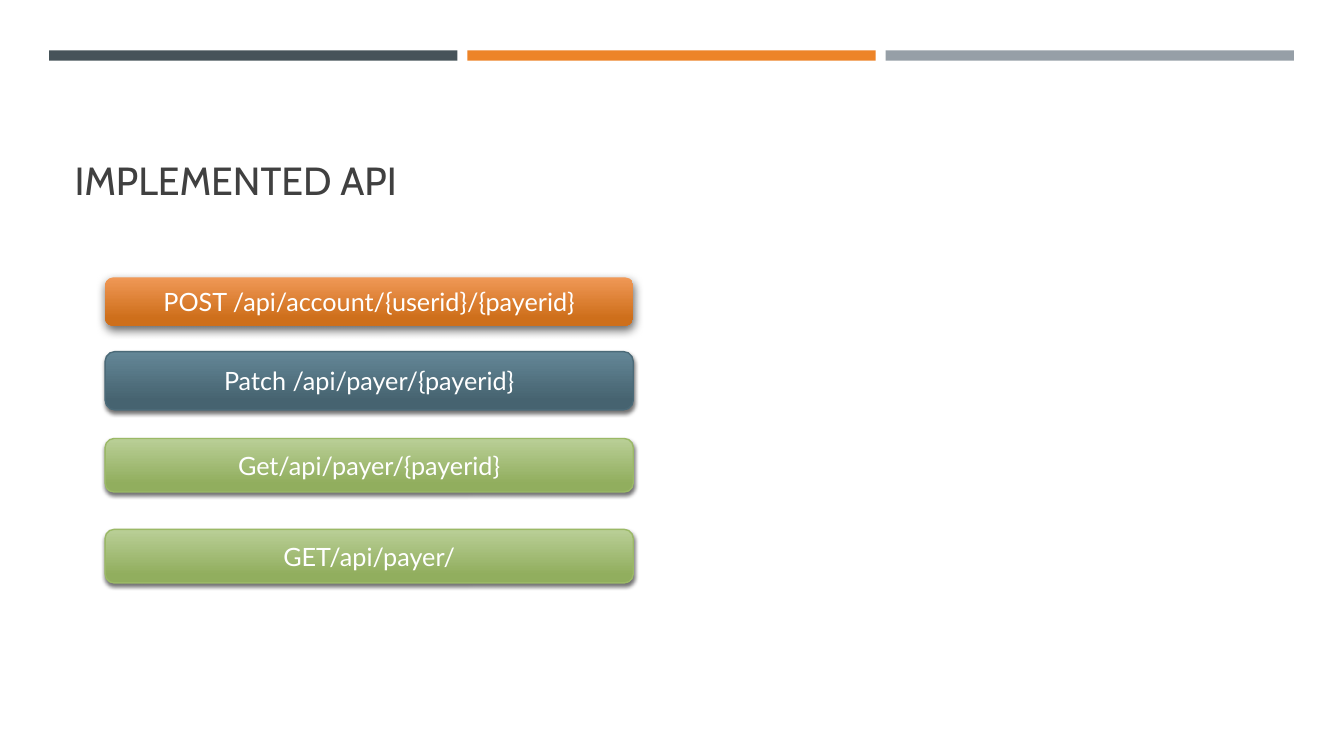
import pptx
import pptx.dml.color
import pptx.enum.shapes
import pptx.enum.text
import pptx.oxml
import pptx.util
from pptx.dml.color import RGBColor
from pptx.util import Cm, Pt

SLATE = RGBColor(0x46, 0x53, 0x59)
ORANGE = RGBColor(0xED, 0x84, 0x28)
GREY = RGBColor(0x96, 0x9F, 0xA7)
TITLE_GREY = RGBColor(0x40, 0x40, 0x40)
WHITE = RGBColor(0xFF, 0xFF, 0xFF)
POST_TOP = RGBColor(0xF0, 0x98, 0x56)
POST_BOTTOM = RGBColor(0xCE, 0x6F, 0x1B)
PATCH_TOP = RGBColor(0x64, 0x87, 0x97)
PATCH_BOTTOM = RGBColor(0x46, 0x63, 0x70)
PATCH_EDGE = RGBColor(0x4B, 0x6A, 0x78)
GET_TOP = RGBColor(0xBA, 0xCF, 0x97)
GET_BOTTOM = RGBColor(0x91, 0xAE, 0x5E)
GET_EDGE = RGBColor(0x9B, 0xB9, 0x66)

# Shadow settings: opacity %, blur pt, distance pt, direction degrees
DEEP_SHADOW = (60, 7, 3, 84)
SOFT_SHADOW = (55, 3, 2, 90)


def add_shadow(shape, opacity, blur, distance, direction):
    shape.shadow.inherit = False
    effects = shape._element.spPr.find(pptx.oxml.ns.qn("a:effectLst"))
    effects.append(pptx.oxml.parse_xml(
        f'<a:outerShdw {pptx.oxml.ns.nsdecls("a")} blurRad="{Pt(blur)}" '
        f'dist="{Pt(distance)}" dir="{direction * 60000}" algn="ctr" rotWithShape="0">'
        f'<a:srgbClr val="000000"><a:alpha val="{opacity * 1000}"/></a:srgbClr>'
        '</a:outerShdw>'))


deck = pptx.Presentation()
deck.slide_width, deck.slide_height = Cm(33.87), Cm(19.05)
slide = deck.slides.add_slide(deck.slide_layouts[6])

# Header bars
for column, color in enumerate((SLATE, ORANGE, GREY)):
    bar = slide.shapes.add_shape(
        pptx.enum.shapes.MSO_SHAPE.RECTANGLE,
        Cm(1.24 + column * 10.54), Cm(1.27), Cm(10.29), Cm(0.26))
    bar.shadow.inherit = False
    bar.fill.solid()
    bar.fill.fore_color.rgb = color
    bar.line.fill.background()

# Title
title = slide.shapes.add_textbox(Cm(1.63), Cm(1.96), Cm(30.63), Cm(3.3)).text_frame
title.word_wrap = True
title.vertical_anchor = pptx.enum.text.MSO_ANCHOR.BOTTOM
heading = title.paragraphs[0]
heading.text = "IMPLEMENTED API"
heading.font.name = "Cabin"
heading.font.size = Pt(28)
heading.font.color.rgb = TITLE_GREY

# Endpoints: text, top and height in cm, gradient, edge, shadow
endpoints = [
    ("POST /api/account/{userid}/{payerid}", 6.99, 1.22,
     (POST_TOP, POST_BOTTOM), None, DEEP_SHADOW),
    ("Patch /api/payer/{payerid}", 8.86, 1.47,
     (PATCH_TOP, PATCH_BOTTOM), PATCH_EDGE, SOFT_SHADOW),
    ("Get/api/payer/{payerid}", 11.05, 1.35,
     (GET_TOP, GET_BOTTOM), GET_EDGE, SOFT_SHADOW),
    ("GET/api/payer/", 13.34, 1.35,
     (GET_TOP, GET_BOTTOM), GET_EDGE, SOFT_SHADOW),
]
for text, top, height, gradient, edge, shadow in endpoints:
    endpoint = slide.shapes.add_shape(
        pptx.enum.shapes.MSO_SHAPE.ROUNDED_RECTANGLE,
        Cm(2.65), Cm(top), Cm(13.31), Cm(height))
    endpoint.fill.gradient()
    endpoint.fill.gradient_angle = 270
    for stop, position, color in zip(endpoint.fill.gradient_stops, (0, 0.84), gradient):
        stop.position = position
        stop.color.rgb = color
    if edge is None:
        endpoint.line.fill.background()
    else:
        endpoint.line.color.rgb = edge
        endpoint.line.width = Pt(1)
    add_shadow(endpoint, *shadow)

    endpoint.text_frame.word_wrap = True
    endpoint.text_frame.vertical_anchor = pptx.enum.text.MSO_ANCHOR.MIDDLE
    label = endpoint.text_frame.paragraphs[0]
    label.text = text
    label.alignment = pptx.enum.text.PP_ALIGN.CENTER
    label.font.name = "Lato"
    label.font.size = Pt(18)
    label.font.color.rgb = WHITE

deck.save("out.pptx")
